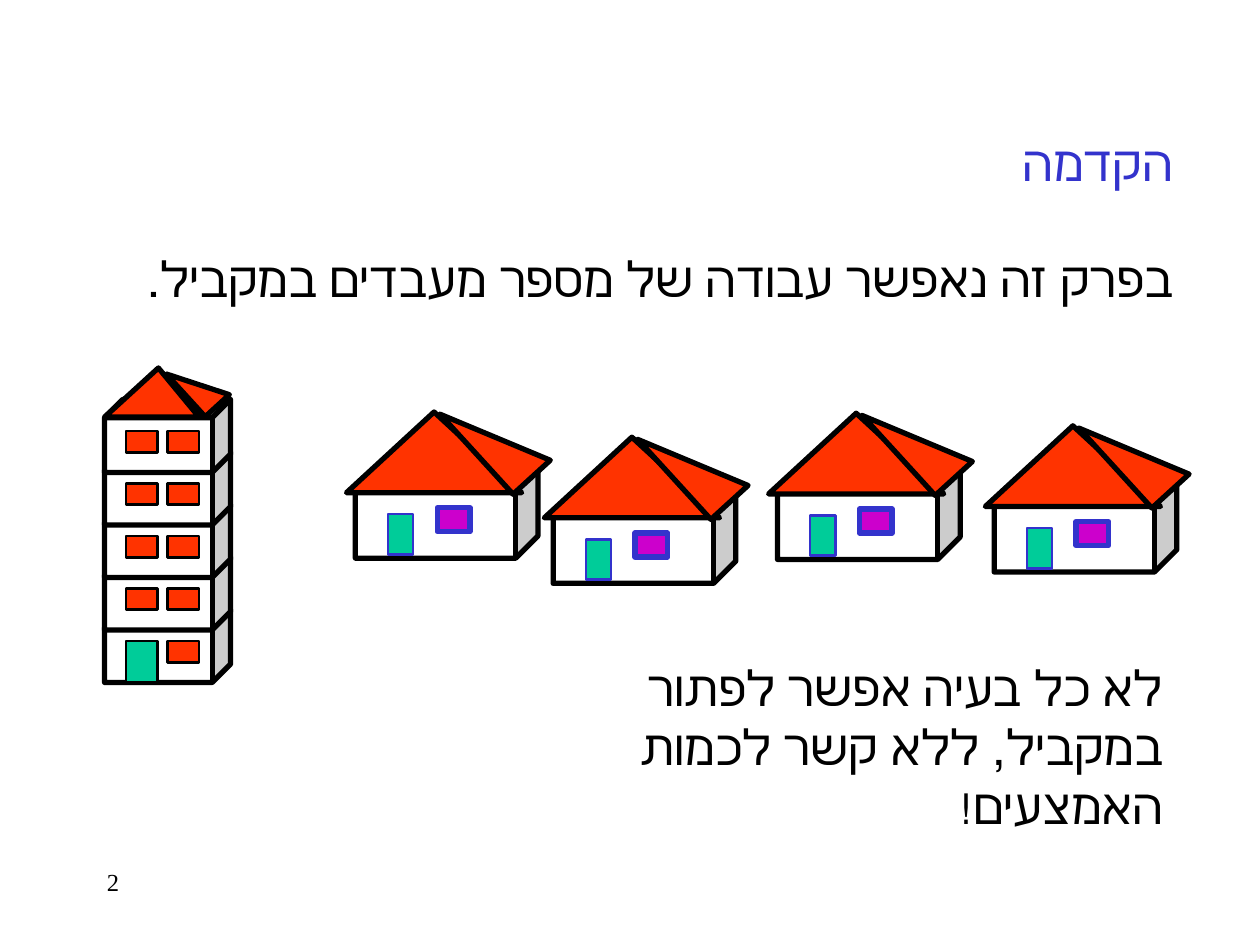
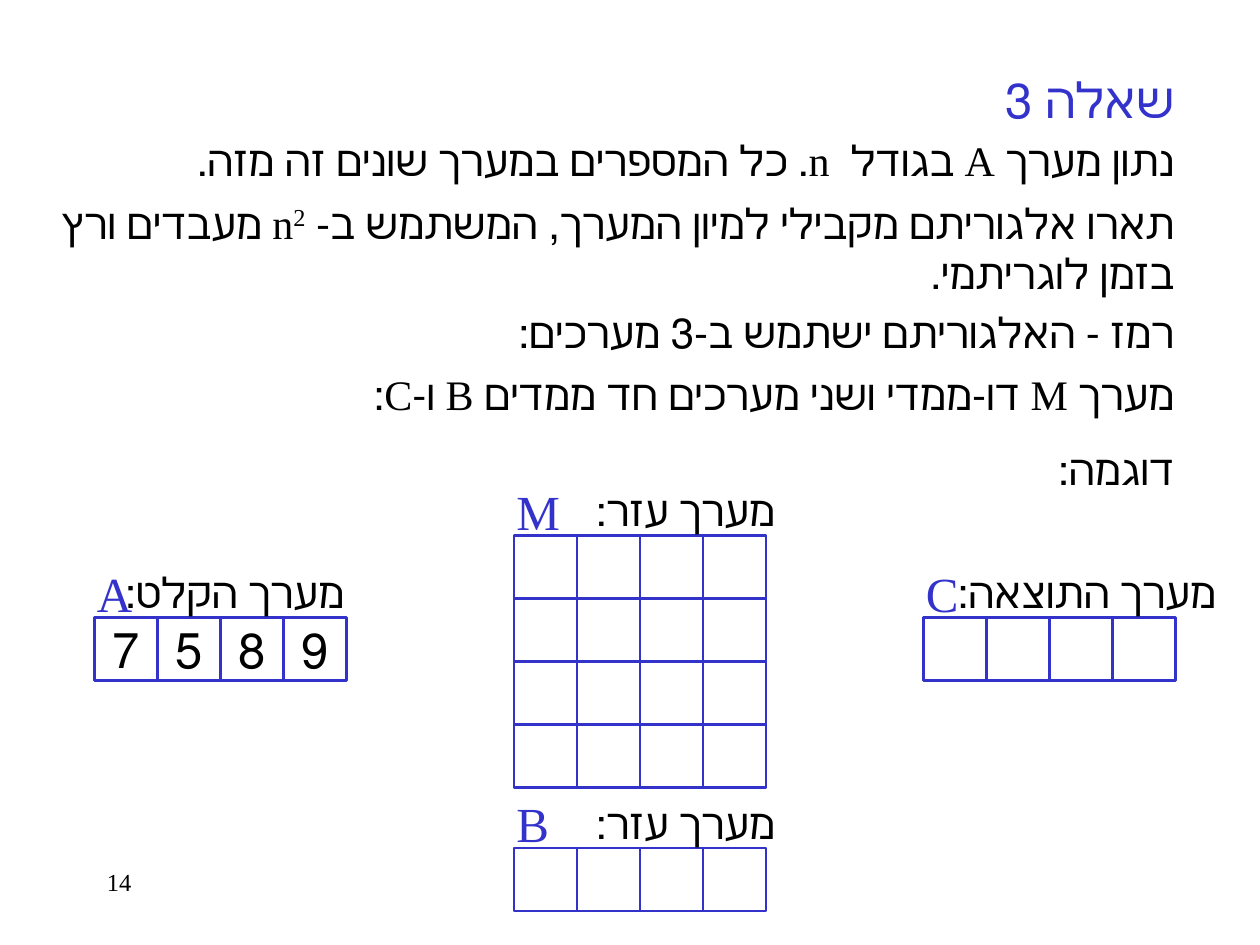
from pptx import Presentation
from pptx.dml.color import RGBColor
from pptx.enum.shapes import MSO_SHAPE as Shape
from pptx.enum.text import MSO_ANCHOR as Anchor, MSO_AUTO_SIZE as AutoSize, PP_ALIGN as Align
from pptx.oxml.ns import qn
from pptx.util import Inches, Pt
from lxml.etree import SubElement

COLORS = {
    "ink": "000000", "paper": "FFFFFF", "blue": "3333CC",
    "red": "FF3300", "green": "00CC99", "purple": "CC00CC",
}
FONT = "Times New Roman"
CELL = 0.5


def color(name):
    """Return the named colour."""
    return RGBColor.from_string(COLORS[name])


def add_span(para, text, size, ink="ink", raised=False):
    """Add one formatted run to a paragraph."""
    span = para.add_run()
    span.text = text
    span.font.name = FONT
    span.font.size = Pt(size)
    span.font.color.rgb = color(ink)
    if raised:
        span._r.get_or_add_rPr().set("baseline", "30000")


def set_hebrew(para, gap=0):
    """Make a paragraph right-to-left, unbulleted and flush right."""
    para.alignment = Align.RIGHT
    para.space_before = Pt(gap)
    props = para._p.get_or_add_pPr()
    for name, value in (("rtl", "1"), ("marL", "0"), ("indent", "0")):
        props.set(name, value)
    SubElement(props, qn("a:buNone"))


def place(box, left, top, width, height):
    """Set the position and size of a text holder and prepare its frame."""
    box.left, box.top = Inches(left), Inches(top)
    box.width, box.height = Inches(width), Inches(height)
    frame = box.text_frame
    frame.word_wrap = True
    frame.auto_size = AutoSize.NONE
    frame.vertical_anchor = Anchor.TOP
    return frame


def add_text(parent, area, text, size, ink="ink", hebrew=True):
    """Add a text box holding one paragraph."""
    box = parent.shapes.add_textbox(*map(Inches, area))
    para = place(box, *area).paragraphs[0]
    if hebrew:
        set_hebrew(para)
    add_span(para, text, size, ink)
    return para


def add_part(group, kind, area, fill, line="ink", weight=3.0, turn=0, peak=None):
    """Add a filled and outlined shape to a group."""
    part = group.shapes.add_shape(kind, *map(Inches, area))
    part.shadow.inherit = False
    part.fill.solid()
    part.fill.fore_color.rgb = color(fill)
    part.line.color.rgb = color(line)
    part.line.width = Pt(weight)
    part.rotation = turn
    if peak is not None:
        part.adjustments[0] = peak
    return part


def add_page(deck, title, title_area, number):
    """Add a page with its title and page number."""
    page = deck.slides.add_slide(deck.slide_layouts[1])
    para = place(page.shapes.title, *title_area).paragraphs[0]
    set_hebrew(para)
    add_span(para, title, 28, "blue")
    add_text(page, (0.75, 6.83, 2.08, 0.5), number, 14, hebrew=False)
    return page


def fill_body(page, area, lines, size):
    """Fill the body placeholder from (space before, runs) pairs."""
    frame = place(page.placeholders[1], *area)
    for index, (gap, spans) in enumerate(lines):
        para = frame.add_paragraph() if index else frame.paragraphs[0]
        set_hebrew(para, gap)
        for text, raised in spans:
            add_span(para, text, size, raised=raised)


def draw_house(page, left, top):
    """Draw a single-storey house with its roof corner at left, top."""
    house = page.shapes.add_group_shape()
    add_part(house, Shape.CUBE, (left + 0.07, top + 0.45, 1.45, 0.71), "paper")
    add_part(house, Shape.ISOSCELES_TRIANGLE, (left, top, 1.39, 0.64), "red")
    add_part(house, Shape.ISOSCELES_TRIANGLE, (left + 0.98, top - 0.23, 0.4, 0.86),
             "red", turn=317.6, peak=0)
    add_part(house, Shape.RECTANGLE, (left + 0.33, top + 0.81, 0.2, 0.32),
             "green", "blue", 1.5)
    add_part(house, Shape.RECTANGLE, (left + 0.72, top + 0.76, 0.26, 0.19),
             "purple", "blue")


def draw_tower(page, left, top, floors=5):
    """Draw a tower built floor by floor from the ground up."""
    tower = page.shapes.add_group_shape()
    pitch = 1.25 / 3
    levels = [top + 0.25 + pitch * floor for floor in reversed(range(floors))]
    for level in levels:
        add_part(tower, Shape.CUBE, (left, level, 1, 0.58), "paper")
    for level in levels:
        for offset in (0.17, 0.5):
            door = level == levels[0] and offset < 0.5
            add_part(tower, Shape.RECTANGLE,
                     (left + offset, level + 0.25, 0.25, 0.33 if door else 0.17),
                     "green" if door else "red", weight=1.5)
    add_part(tower, Shape.ISOSCELES_TRIANGLE, (left, top, 0.75, 0.39), "red", peak=0.57)
    add_part(tower, Shape.ISOSCELES_TRIANGLE, (left + 0.61, top - 0.1, 0.26, 0.46),
             "red", turn=317.6, peak=0)


def draw_array(page, left, top, letter, label, label_shift, rows=1, values=("",) * 4):
    """Draw a labelled array of square cells with its corner at left, top."""
    array = page.shapes.add_group_shape()
    for row in range(rows):
        for column, value in enumerate(values):
            cell = add_part(array, Shape.RECTANGLE,
                            (left + column * CELL, top + row * CELL, CELL, CELL),
                            "paper", "blue", 1.5)
            if value:
                frame = cell.text_frame
                frame.word_wrap = False
                frame.vertical_anchor = Anchor.MIDDLE
                para = frame.paragraphs[0]
                set_hebrew(para)
                para.alignment = Align.CENTER
                add_span(para, value, 28)
    add_text(array, (left - 0.08, top - 0.48, 0.5, 0.57), letter, 28, "blue", hebrew=False)
    add_text(array, (left + label_shift, top - 0.45, 2.5, 0.5), label, 24)


def build_introduction(deck):
    """Build the introduction page with the tower and the houses."""
    page = add_page(deck, "הקדמה", (0.08, 1, 9.33, 0.57), "2")
    fill_body(page, (0.08, 1.92, 9.33, 0.57),
              [(0, [("בפרק זה נאפשר עבודה של מספר מעבדים במקביל.", False)])], 28)
    closing = add_text(page, (4.25, 5.17, 5.08, 1.5),
                       "לא כל בעיה אפשר לפתור במקביל, ללא קשר לכמות האמצעים", 28)
    add_span(closing, "!", 24)
    for left, top in ((2.75, 3.27), (4.32, 3.47), (6.1, 3.28), (7.82, 3.38)):
        draw_house(page, left, top)
    draw_tower(page, 0.83, 2.92)


def build_question(deck):
    """Build the sorting question page with its four arrays."""
    page = add_page(deck, "שאלה 3", (7.75, 0.5, 1.67, 0.57), "14")
    fill_body(page, (0, 1.02, 9.42, 2.9), [
        (0, [("נתון מערך A בגודל  n. כל המספרים במערך שונים זה מזה.", False)]),
        (7, [("תארו אלגוריתם מקבילי למיון המערך, המשתמש ב- n", False), ("2", True),
             (" מעבדים ורץ בזמן לוגריתמי.", False)]),
        (4.5, [("רמז - האלגוריתם ישתמש ב-3 מערכים:", False)]),
        (7, [("מערך M דו-ממדי ושני מערכים חד ממדים B ו-C:", False)]),
        (14, [("דוגמה:", False)]),
    ], 24)
    draw_array(page, 7.33, 4.9, "C", "מערך התוצאה:", -0.08)
    draw_array(page, 0.75, 4.9, "A", "מערך הקלט:", -0.42, values="7589")
    draw_array(page, 4.08, 4.25, "M", "מערך עזר:", -0.33, rows=4)
    draw_array(page, 4.08, 6.73, "B", "מערך עזר:", -0.33)


def main():
    """Build and save the deck."""
    deck = Presentation()
    deck.slide_width, deck.slide_height = Inches(10), Inches(7.5)
    build_introduction(deck)
    build_question(deck)
    deck.save("out.pptx")


if __name__ == "__main__":
    main()
